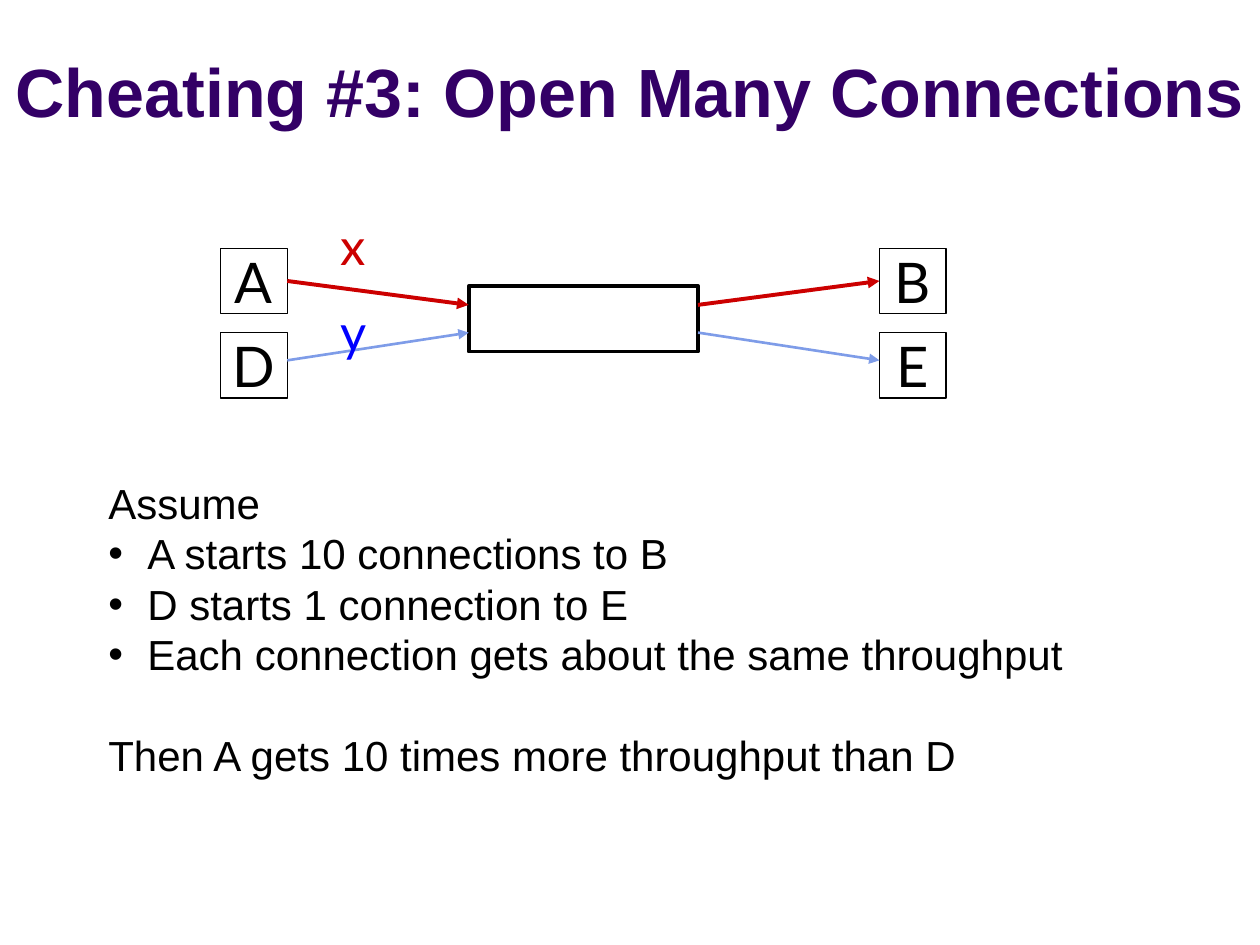
from pptx import Presentation
from pptx.dml.color import RGBColor
from pptx.enum.shapes import MSO_CONNECTOR, MSO_SHAPE
from pptx.enum.text import MSO_ANCHOR, PP_ALIGN
from pptx.oxml.ns import qn
from pptx.util import Inches, Pt
from lxml.etree import SubElement

# Content
TITLE = "Cheating #3: Open Many Connections"
FLOWS = [  # sender, receiver, rate, rate colour, arrow colour, arrow width
    ("A", "B", "x", "CC0000", "CC0000", 2.25),
    ("D", "E", "y", "0000FF", "7E9CE8", 1.5),
]
BODY = [  # text, bulleted, space before in points
    ("Assume", False, 0),
    ("A starts 10 connections to B", True, 0),
    ("D starts 1 connection to E", True, 0),
    ("Each connection gets about the same throughput", True, 0),
    ("Then A gets 10 times more throughput than D", False, 28.8),
]

# Layout in inches
HOST_W, HOST_H = 0.53, 0.52
LEFT_X, RIGHT_X = 1.75, 6.98
ROUTER = (3.72, 2.27, 1.82, HOST_H)
HOST_Y = (1.97, 2.64)
OUTER_Y, INNER_Y = (2.23, 2.86), (2.42, 2.64)
RATE_X, RATE_Y = 2.66, (1.67, 2.35)
BULLET_INDENT = 0.31


def rgb(value):
    return RGBColor.from_string(value)


def write(p, text, size=24, font="Arial", color="000000", bold=False, align=PP_ALIGN.LEFT):
    p.alignment = align
    r = p.add_run()
    r.text = text
    r.font.size, r.font.name, r.font.bold = Pt(size), font, bold
    r.font.color.rgb = rgb(color)


def frame(sp, anchor, side, edge, wrap):
    tf = sp.text_frame
    tf.word_wrap, tf.vertical_anchor = wrap, anchor
    tf.margin_left = tf.margin_right = Inches(side)
    tf.margin_top = tf.margin_bottom = Inches(edge)
    return tf


def box(x, y, w, h, weight, text=None):
    sp = s.shapes.add_shape(MSO_SHAPE.RECTANGLE, *map(Inches, (x, y, w, h)))
    sp.shadow.inherit = False
    sp.fill.solid()
    sp.fill.fore_color.rgb = rgb("FFFFFF")
    sp.line.color.rgb, sp.line.width = rgb("000000"), Pt(weight)
    if text:
        tf = frame(sp, MSO_ANCHOR.MIDDLE, 0.04, 0.02, False)
        write(tf.paragraphs[0], text, size=32, font="Lato", align=PP_ALIGN.CENTER)


def arrow(x1, y1, x2, y2, color, weight):
    c = s.shapes.add_connector(MSO_CONNECTOR.STRAIGHT, *map(Inches, (x1, y1, x2, y2)))
    c.line.color.rgb, c.line.width = rgb(color), Pt(weight)
    SubElement(c.line._get_or_add_ln(), qn("a:tailEnd"), type="triangle")
    SubElement(c._element.spPr, qn("a:effectLst"))


def textbox(x, y, w, h):
    return s.shapes.add_textbox(*map(Inches, (x, y, w, h)))


prs = Presentation()
prs.slide_width, prs.slide_height = Inches(10), Inches(7.5)
s = prs.slides.add_slide(prs.slide_layouts[5])

# Title
title = s.shapes.title
title.left, title.top, title.width, title.height = map(Inches, (0, 0.13, 10, 0.95))
tf = frame(title, MSO_ANCHOR.BOTTOM, 0.09, 0.04, True)
write(tf.paragraphs[0], TITLE, size=39, color="330066", bold=True, align=PP_ALIGN.CENTER)

# Network: two flows sharing one router
box(*ROUTER, 2.25)
router_left, router_right = ROUTER[0], ROUTER[0] + ROUTER[2]
for i, (sender, receiver, rate, rate_color, color, weight) in enumerate(FLOWS):
    box(LEFT_X, HOST_Y[i], HOST_W, HOST_H, 0.75, sender)
    box(RIGHT_X, HOST_Y[i], HOST_W, HOST_H, 0.75, receiver)
    arrow(LEFT_X + HOST_W, OUTER_Y[i], router_left, INNER_Y[i], color, weight)
    arrow(router_right, INNER_Y[i], RIGHT_X, OUTER_Y[i], color, weight)
    tf = frame(textbox(RATE_X, RATE_Y[i], 0.38, 0.56), MSO_ANCHOR.MIDDLE, 0.04, 0.02, False)
    write(tf.paragraphs[0], rate, size=29, font="Lato", color=rate_color)

# Argument
tf = frame(textbox(0.77, 3.75, 8.07, 2.51), MSO_ANCHOR.TOP, 0.09, 0.04, True)
for i, (text, bulleted, before) in enumerate(BODY):
    p = tf.add_paragraph() if i else tf.paragraphs[0]
    p.line_spacing, p.space_before = Pt(28.8), Pt(before)
    write(p, text)
    if bulleted:
        pPr = p._p.get_or_add_pPr()
        pPr.set("marL", str(Inches(BULLET_INDENT)))
        pPr.set("indent", str(-Inches(BULLET_INDENT)))
        SubElement(pPr, qn("a:buFont"), typeface="Arial")
        SubElement(pPr, qn("a:buChar"), char="•")

prs.save("out.pptx")
